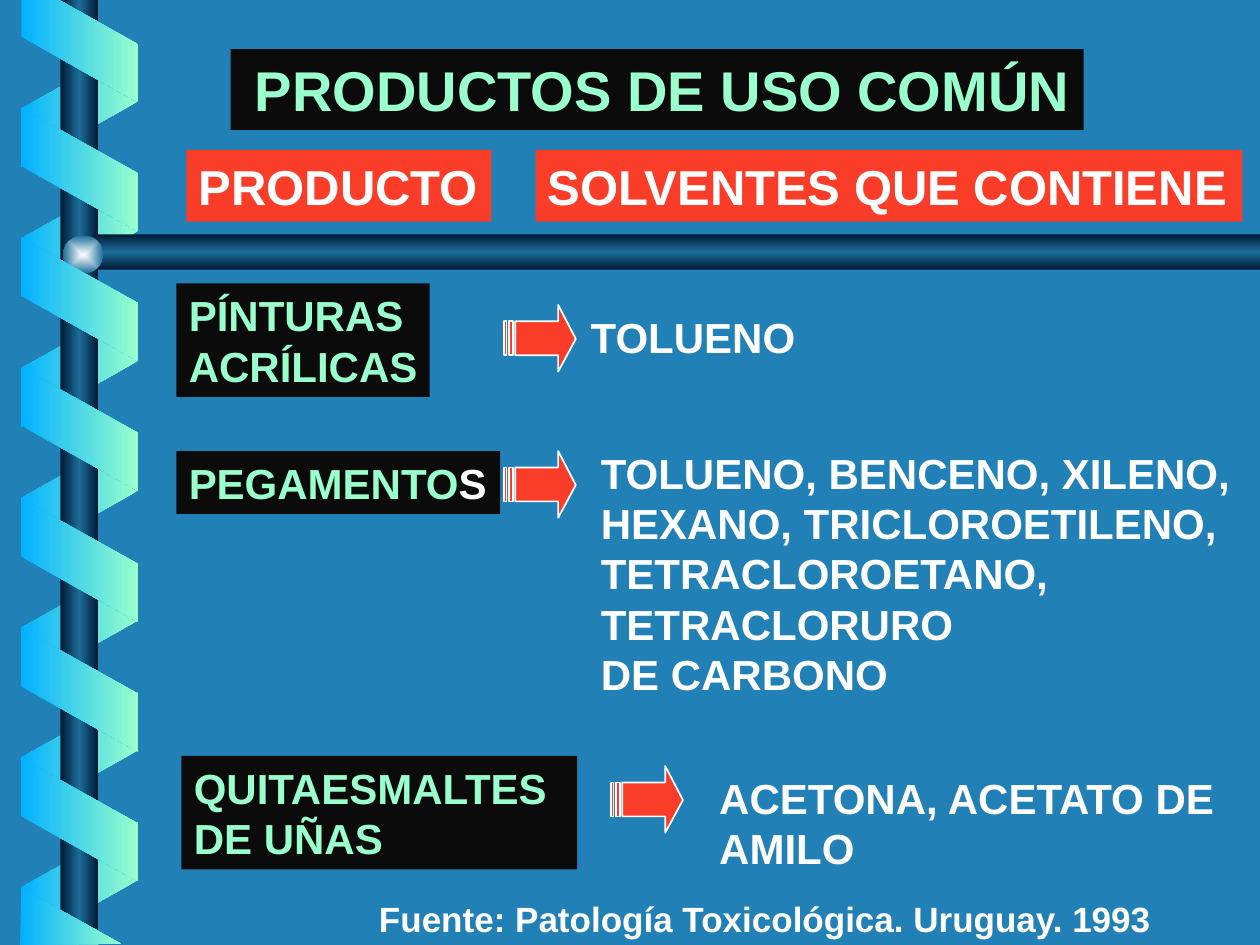
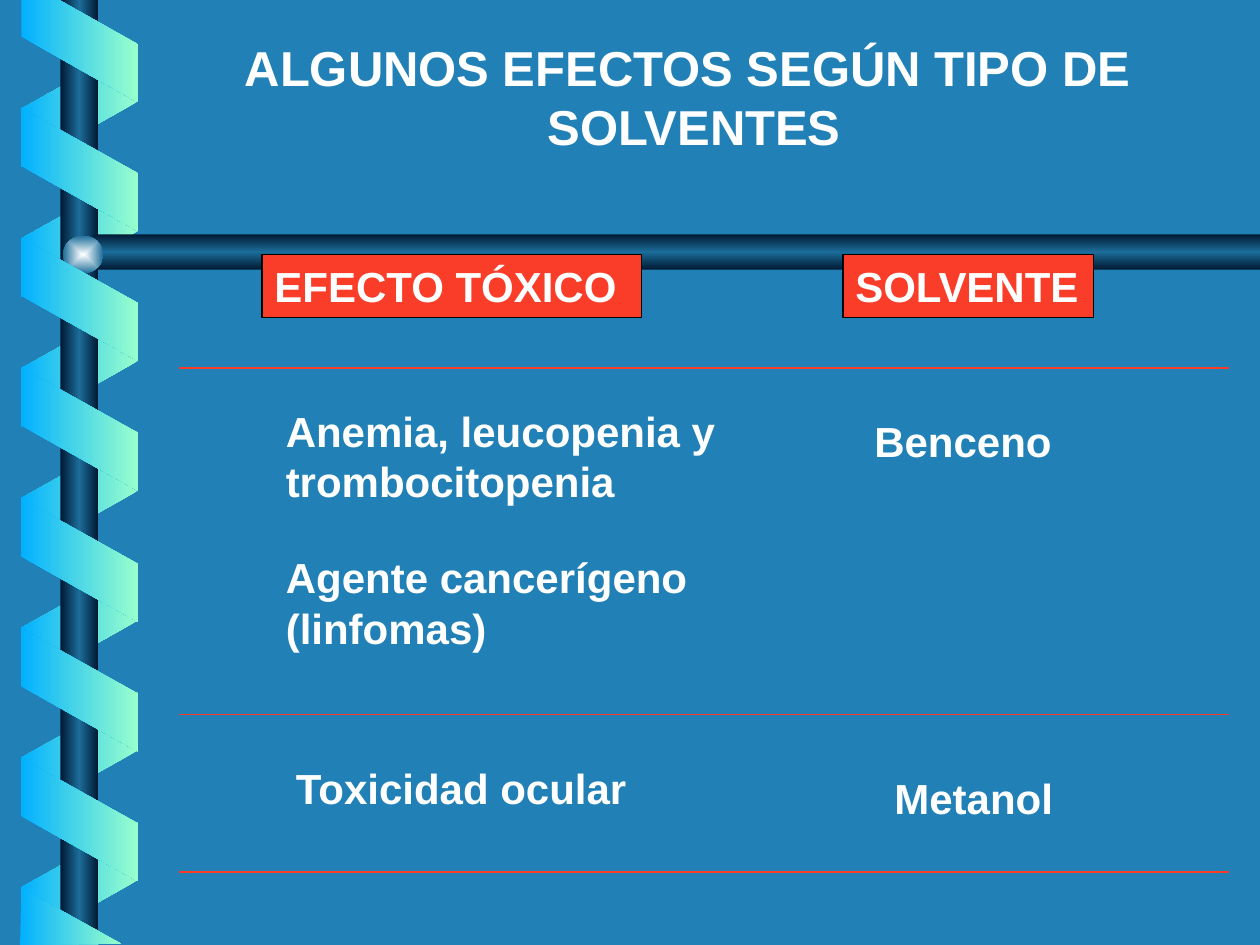
from dataclasses import dataclass

from lxml import etree
from pptx import Presentation
from pptx.dml.color import RGBColor
from pptx.enum.shapes import MSO_CONNECTOR, MSO_SHAPE
from pptx.enum.text import MSO_ANCHOR, MSO_AUTO_SIZE, PP_ALIGN
from pptx.oxml.ns import qn
from pptx.util import Pt

RECT = MSO_SHAPE.RECTANGLE
OVAL = MSO_SHAPE.OVAL
SLANT = MSO_SHAPE.PARALLELOGRAM
STRAIGHT = MSO_CONNECTOR.STRAIGHT
TOP = MSO_ANCHOR.TOP
LEFT, CENTER = PP_ALIGN.LEFT, PP_ALIGN.CENTER
FIXED = MSO_AUTO_SIZE.NONE

PX = 9144  # EMU per px, 100 px to the inch
WIDE, HIGH = 1000, 750
TITLE_ONLY = 5


@dataclass(frozen=True)
class Theme:
    font: str = "Arial"
    back: str = "2181B7"
    white: str = "FFFFFF"
    mint: str = "99FFCC"
    sky: str = "01B0FF"
    black: str = "0B0B0B"
    edge: str = "000000"
    red: str = "F93D29"
    navy: str = "001932"
    steel: str = "1C6D9A"
    glow: str = "FEFFFF"
    big: int = 32
    head: int = 28
    body: int = 24
    note: int = 20


T = Theme()
RIBBON = (T.sky, T.mint)
TUBE = (T.navy, T.steel, T.navy)


def emu(*sizes):
    return [size * PX for size in sizes]


def rgb(code):
    return RGBColor.from_string(code)


def blend(shape, tints, angle=0, burst=False):
    """Fill with evenly spaced tints, along an angle or out from the centre."""
    shape.fill.gradient()
    grad = shape.element.spPr.find(qn("a:gradFill"))
    grad.set("rotWithShape", "0")
    for child in list(grad):
        grad.remove(child)
    stops = etree.SubElement(grad, qn("a:gsLst"))
    for i, tint in enumerate(tints):
        place = str(100000 * i // (len(tints) - 1))
        stop = etree.SubElement(stops, qn("a:gs"), pos=place)
        etree.SubElement(stop, qn("a:srgbClr"), val=tint)
    if burst:
        way = etree.SubElement(grad, qn("a:path"))
        way.set("path", "rect")
        mid = {side: "50000" for side in "ltrb"}
        etree.SubElement(way, qn("a:fillToRect"), mid)
    else:
        etree.SubElement(grad, qn("a:lin"), ang=str(angle * 60000), scaled="1")


class Deck:
    def __init__(self):
        self.file = Presentation()
        self.file.slide_width, self.file.slide_height = emu(WIDE, HIGH)
        fill = self.file.slide_master.background.fill
        fill.solid()
        fill.fore_color.rgb = rgb(T.back)
        self.layout = self.file.slide_layouts[TITLE_ONLY]
        self.slide = None

    def add(self):
        first = self.slide is None
        self.slide = self.file.slides.add_slide(self.layout)
        if first:
            self.frame()

    def frame(self):
        """Draw the spiral and bars, then move them to the layout."""
        for spot in list(self.layout.placeholders):
            if spot.placeholder_format.idx:
                self.layout.shapes.element.remove(spot.element)
        for i in range(7):
            self.twist(37 + 103 * i, 90, RIBBON[::-1], True)
        blend(self.shape(RECT, 48, 0, 30, HIGH), TUBE)
        bar = [(WIDE, 186), (76, 186), (60, 200), (76, 214), (WIDE, 214)]
        blend(self.outline([bar]), TUBE, 90)
        blend(self.shape(OVAL, 50, 187, 32, 30), (T.glow, T.steel), burst=True)
        for i in range(6):
            self.twist(round(88 + 103.2 * i), 270, RIBBON)
        start = [(17, 0), (17, 29), (109, 81), (109, 35), (47, 0)]
        end = [(96, 749), (17, 705), (16, 750)]
        for points in (start, end):
            blend(self.outline([points]), RIBBON)
        for part in list(self.slide.shapes):
            if not part.is_placeholder:
                self.layout.shapes.element.append(part.element)

    def twist(self, top, turn, tints, flip=False):
        band = self.shape(SLANT, 14, top, 98, 93)
        band.adjustments[0] = 0.56
        band.rotation = turn
        if flip:
            band.element.spPr.find(qn("a:xfrm")).set("flipH", "1")
        blend(band, tints)

    def shape(self, kind, *at):
        shape = self.slide.shapes.add_shape(kind, *emu(*at))
        shape.shadow.inherit = False
        shape.line.fill.background()
        return shape

    def outline(self, rings):
        pen = None
        for ring in rings:
            if pen is None:
                pen = self.slide.shapes.build_freeform(*ring[0], scale=PX)
            else:
                pen.move_to(*ring[0])
            pen.add_line_segments(ring[1:], close=True)
        shape = pen.convert_to_shape()
        shape.shadow.inherit = False
        shape.line.fill.background()
        return shape

    def paint(self, shape, fill, edge=None, width=1):
        shape.fill.solid()
        shape.fill.fore_color.rgb = rgb(fill)
        if edge:
            shape.line.color.rgb = rgb(edge)
            shape.line.width = Pt(width)

    def letter(self, shape, lines, size, ink, align=LEFT):
        """Each line is a string or a list of (text, size, ink) runs."""
        frame = shape.text_frame
        frame.word_wrap = True
        frame.auto_size = FIXED
        frame.vertical_anchor = TOP
        frame.margin_left, frame.margin_top, frame.margin_bottom = emu(10, 5, 5)
        # Left-aligned text gets spare room so that it never breaks early
        frame.margin_right = 0 if align == LEFT else 10 * PX
        for i, line in enumerate(lines):
            para = frame.add_paragraph() if i else frame.paragraphs[0]
            para.alignment = align
            runs = [(line, size, ink)] if isinstance(line, str) else line
            for text, points, tint in runs:
                run = para.add_run()
                run.text = text
                run.font.name = T.font
                run.font.size = Pt(points)
                run.font.bold = True
                run.font.color.rgb = rgb(tint)

    def title(self, at, lines, size, ink, align=LEFT, fill=None):
        title = self.slide.shapes.title
        title.left, title.top, title.width, title.height = emu(*at)
        if fill:
            self.paint(title, fill)
        self.letter(title, lines, size, ink, align)

    def text(self, at, *lines, size=T.body):
        box = self.slide.shapes.add_textbox(*emu(*at))
        self.letter(box, lines, size, T.white)

    def label(self, at, *lines, fill=T.black, ink=T.mint, size=T.body, edge=None):
        box = self.shape(RECT, *at)
        self.paint(box, fill, edge, 0.75)
        self.letter(box, lines, size, ink)

    def arrow(self, left, top):
        head = [(43, 0), (43, 13), (9, 13), (9, 40), (43, 40), (43, 53), (57, 27)]
        bars = [[(a, 13), (a, 40), (b, 40), (b, 13)] for a, b in ((4, 7), (0, 2))]
        rings = [[(left + x, top + y) for x, y in ring] for ring in (head, *bars)]
        self.paint(self.outline(rings), T.red, T.white)

    def rule(self, top):
        ends = emu(142, top, 975, top)
        line = self.slide.shapes.add_connector(STRAIGHT, *ends)
        line.line.color.rgb = rgb(T.red)
        line.line.width = Pt(1)
        etree.SubElement(line.element.spPr, qn("a:effectLst"))


def products(deck):
    deck.add()
    name = [(" ", T.body, T.white), ("PRODUCTOS DE USO COMÚN", T.big, T.mint)]
    deck.title((183, 39, 677, 64), [name], T.big, T.mint, fill=T.black)
    heads = ((148, 242, "PRODUCTO"), (425, 561, "SOLVENTES QUE CONTIENE"))
    for left, width, head in heads:
        deck.label((left, 119, width, 57), head,
                   fill=T.red, ink=T.white, size=T.head)

    deck.label((140, 225, 201, 90), "PÍNTURAS", "ACRÍLICAS")
    deck.text((459, 242, 183, 50), "TOLUENO")
    glue = [("PEGAMENTO", T.body, T.mint), ("S", T.body, T.white)]
    deck.label((140, 358, 257, 50), glue)
    deck.text((467, 350, 529, 210), "TOLUENO, BENCENO, XILENO,",
              "HEXANO, TRICLOROETILENO,", "TETRACLOROETANO,",
              "TETRACLORURO", "DE CARBONO")
    deck.label((144, 600, 314, 90), "QUITAESMALTES", "DE UÑAS")
    deck.text((561, 608, 429, 90), "ACETONA, ACETATO DE", "AMILO")
    for left, top in ((400, 242), (400, 358), (485, 608)):
        deck.arrow(left, top)
    deck.text((291, 707, 637, 44),
              "Fuente: Patología Toxicológica. Uruguay. 1993", size=T.note)


def effects(deck):
    deck.add()
    deck.title((184, 25, 734, 104),
               ["ALGUNOS EFECTOS SEGÚN TIPO DE ", "SOLVENTES"],
               T.head, T.white, CENTER)
    heads = ((669, 199, "SOLVENTE"), (208, 301, "EFECTO TÓXICO"))
    for left, width, head in heads:
        deck.label((left, 202, width, 50), head,
                   fill=T.red, ink=T.white, edge=T.edge)
    deck.text((684, 325, 161, 50), "Benceno")
    deck.text((217, 317, 370, 90), "Anemia, leucopenia y", "trombocitopenia")
    deck.text((217, 433, 348, 90), "Agente cancerígeno", "(linfomas)")
    deck.text((700, 608, 146, 50), "Metanol")
    deck.text((225, 600, 285, 50), "Toxicidad ocular")
    for top in (292, 567, 692):
        deck.rule(top)


def main():
    deck = Deck()
    products(deck)
    effects(deck)
    deck.file.save("out.pptx")


if __name__ == "__main__":
    main()
